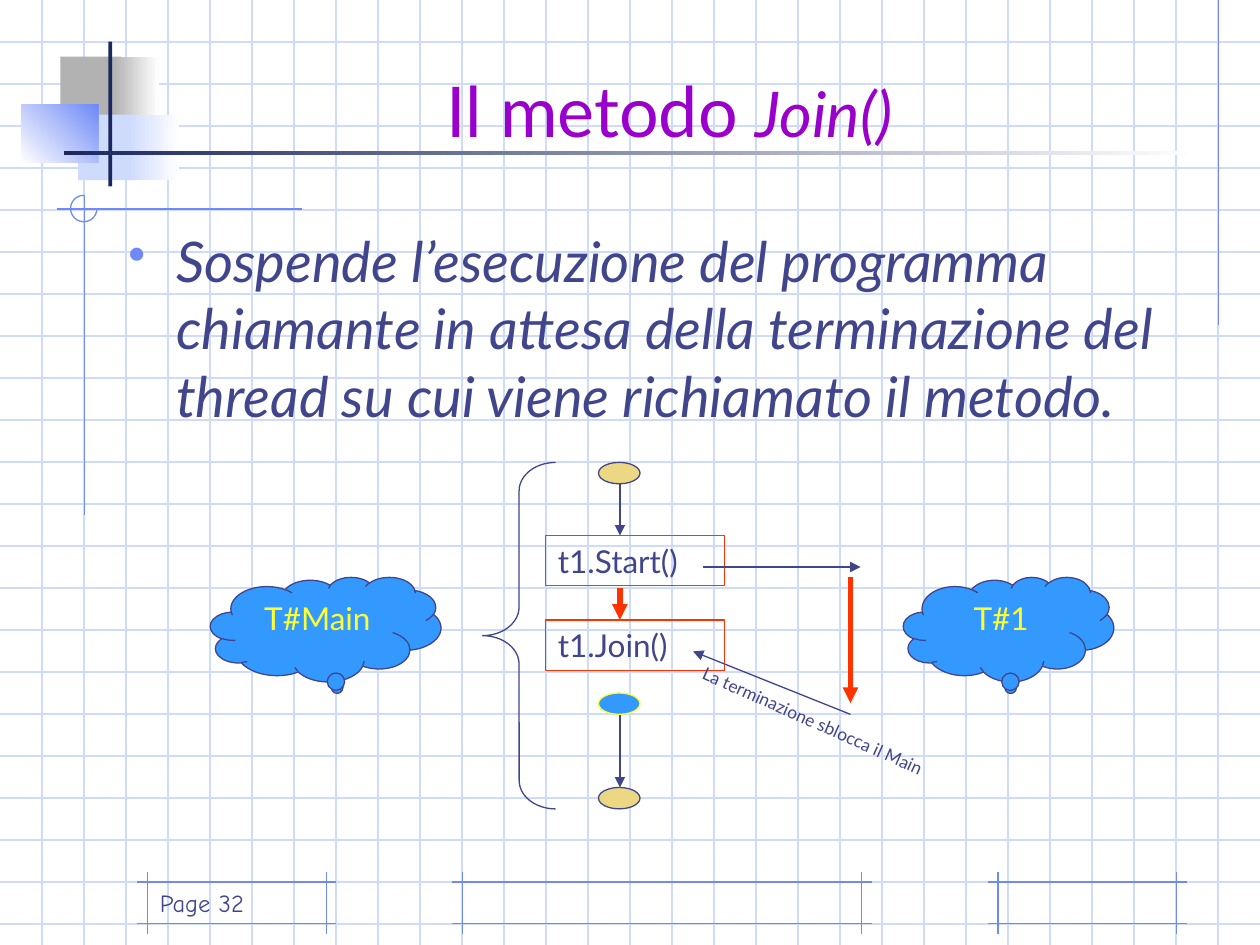
from lxml import etree
from pptx import Presentation
from pptx import util as u
from pptx.dml.color import RGBColor
from pptx.enum import shapes, text
from pptx.oxml import ns

Inches = u.Inches
SHAPE = shapes.MSO_SHAPE
INK, PALE, BLUE, NAVY = "40458C", "CFDBFD", "6F89F7", "1B285F"
RED, SKY, YELLOW, SAND = "FF3300", "3399FF", "FFFF2F", "ECD882"
GRAY, WHITE, PURPLE = "B2B2B2", "FFFFFF", "9900CC"
SLIDE_BOX = (0, 0, 10, 7.5)


def color(value):
    return RGBColor.from_string(value)


def place(shape, box):
    for name, length in zip(("left", "top", "width", "height"), box):
        setattr(shape, name, Inches(length))


def add_line(slide, start, end, stroke, width=0.75, arrow=False):
    line = slide.shapes.add_connector(
        shapes.MSO_CONNECTOR.STRAIGHT, *(Inches(value) for value in (*start, *end)))
    line.line.color.rgb = color(stroke)
    line.line.width = u.Pt(width)
    etree.SubElement(line._element.spPr, ns.qn("a:effectLst"))
    if arrow:
        etree.SubElement(line.line._get_or_add_ln(), ns.qn("a:tailEnd"), type="triangle")
    return line


def add_shape(slide, kind, box, fill=None, stroke=None, adjustments=()):
    """Fill is a hex colour, a (from, to, angle) gradient or None."""
    shape = slide.shapes.add_shape(kind, *(Inches(value) for value in box))
    shape.shadow.inherit = False
    for index, value in enumerate(adjustments):
        shape.adjustments[index] = value
    if fill is None:
        shape.fill.background()
    elif isinstance(fill, str):
        shape.fill.solid()
        shape.fill.fore_color.rgb = color(fill)
    else:
        *stops, angle = fill
        shape.fill.gradient()
        shape.fill.gradient_angle = angle
        for stop, value in zip(shape.fill.gradient_stops, stops):
            stop.color.rgb = color(value)
    if stroke:
        shape.line.color.rgb = color(stroke)
        shape.line.width = u.Pt(0.75)
    else:
        shape.line.fill.background()
    return shape


def add_run(paragraph, words, size, ink=INK, font="Lato", italic=False):
    run = paragraph.add_run()
    run.text = words
    values = {"size": u.Pt(size), "name": font, "italic": italic}
    for name, value in values.items():
        setattr(run.font, name, value)
    run.font.color.rgb = color(ink)


def prepare_text(shape, anchor=text.MSO_ANCHOR.TOP, align=text.PP_ALIGN.LEFT):
    """Set up the frame and return its first paragraph."""
    frame = shape.text_frame
    values = {"word_wrap": True, "auto_size": text.MSO_AUTO_SIZE.NONE,
              "vertical_anchor": anchor}
    for name, value in values.items():
        setattr(frame, name, value)
    frame.paragraphs[0].alignment = align
    return frame.paragraphs[0]


def add_text_box(slide, box, **layout):
    shape = slide.shapes.add_textbox(*(Inches(value) for value in box))
    return shape, prepare_text(shape, **layout)


def draw_grid(slide, box, per_inch=3):
    left, top, width, height = box
    for row in range(1, int(height * per_inch) + 1):
        y = top + row / per_inch
        add_line(slide, (left, y), (left + width, y), PALE)
    for column in range(1, int(width * per_inch)):
        x = left + column / per_inch
        add_line(slide, (x, top), (x, top + height), PALE)


def draw_crossed_frame(slide, box, overhang=0.08):
    left, top, width, height = box
    right, bottom = left + width, top + height
    for y in (top, bottom):
        add_line(slide, (left - overhang, y), (right + overhang, y), BLUE)
    for x in (left, right):
        add_line(slide, (x, top - overhang), (x, bottom + overhang), BLUE)


def draw_margin_lines(slide, box):
    left, top, width, _ = box
    add_line(slide, (left + 9.67, top), (left + 9.67, top + 2.58), BLUE)
    add_line(slide, (left + 0.45, top + 1.66), (left + 2.4, top + 1.66), BLUE)
    add_line(slide, (left + 0.67, top + 1.55), (left + 0.67, top + 4.09), BLUE)
    add_shape(slide, SHAPE.ARC, (left + 0.56, top + 1.55, 0.21, 0.21),
              stroke=BLUE, adjustments=(0, 162))


def draw_title_ornament(slide, box):
    left, top, width, _ = box
    blocks = [
        ((0.31, 0.12, 0.48, 0.52), GRAY),
        ((0.73, 0.12, 0.36, 0.52), (GRAY, WHITE, 0)),
        ((0.45, 0.58, 0.46, 0.52), PALE),
        ((0.85, 0.58, 0.4, 0.52), (PALE, WHITE, 0)),
        ((0, 0.5, 0.61, 0.46), (WHITE, BLUE, 45)),
        ((0.69, 0, 0.03, 1.15), NAVY),
        ((0.34, 0.87, width - 0.34, 0.03), (NAVY, WHITE, 0)),
    ]
    for (x, y, *size), fill in blocks:
        add_shape(slide, SHAPE.RECTANGLE, (left + x, top + y, *size), fill)


def set_title(slide, box):
    title = slide.shapes.title
    slide.shapes._spTree.append(title._element)  # in front of the backdrop
    place(title, box)
    paragraph = prepare_text(title, text.MSO_ANCHOR.BOTTOM, text.PP_ALIGN.CENTER)
    add_run(paragraph, "Il metodo ", 40, PURPLE)
    add_run(paragraph, "Join() ", 36, PURPLE, italic=True)


def add_body(slide, box):
    _, paragraph = add_text_box(slide, box)
    properties = paragraph._p.get_or_add_pPr()
    properties.set("marL", str(Inches(0.38)))
    properties.set("indent", str(Inches(-0.38)))
    bullet_color = etree.SubElement(properties, ns.qn("a:buClr"))
    etree.SubElement(bullet_color, ns.qn("a:srgbClr"), val=BLUE)
    etree.SubElement(properties, ns.qn("a:buSzPct"), val="90000")
    etree.SubElement(properties, ns.qn("a:buChar"), char="•")
    add_run(paragraph, "Sospende l’esecuzione del programma chiamante in attesa della "
            "terminazione del thread su cui viene richiamato il metodo.", 32, italic=True)


def draw_cloud(slide, box, label, pointer):
    cloud = add_shape(slide, SHAPE.CLOUD_CALLOUT, box, SKY, INK, pointer)
    add_run(prepare_text(cloud, align=text.PP_ALIGN.CENTER), label, 18, YELLOW)


def draw_thread_diagram(slide, box):
    left, top, width, height = box

    def at(x, y):
        return left + x, top + y

    for label, y in (("t1.Join()", 1.25), ("t1.Start()", 0.58)):
        call = add_shape(slide, SHAPE.RECTANGLE, (*at(2.66, y), 1.42, 0.4), stroke=RED)
        add_run(prepare_text(call), label, 18)

    arrows = [
        ((3.25, 0.08), (3.25, 0.58), INK, 0.75),
        ((3.91, 0.83), (5.16, 0.83), INK, 0.75),
        ((3.25, 1), (3.25, 1.25), RED, 3),
        ((5.08, 2), (3.83, 1.5), INK, 0.75),
        ((3.25, 2), (3.25, 2.58), INK, 0.75),
        ((5.08, 0.91), (5.08, 1.91), RED, 3),
    ]
    for start, end, stroke, weight in arrows:
        add_line(slide, at(*start), at(*end), stroke, weight, arrow=True)

    for y, fill, stroke in ((0, SAND, INK), (2.58, SAND, INK), (1.83, SKY, YELLOW)):
        add_shape(slide, SHAPE.OVAL, (*at(3.08, y), 0.33, 0.17), fill, stroke)

    add_shape(slide, SHAPE.LEFT_BRACE, (*at(2.16, 0), 0.58, height),
              stroke=INK, adjustments=(0.39, 0.5))
    draw_cloud(slide, (*at(0, 0.91), 1.83, 0.83), "T#Main", (0.05, 0.56))
    draw_cloud(slide, (*at(width - 1.67, 0.91), 1.67, 0.83), "T#1", (0.01, 0.56))

    note, paragraph = add_text_box(slide, (*at(3.7, 2.08), 2.88, 0.27))
    note.rotation = 24.1
    add_run(paragraph, "La terminazione sblocca il Main", 10)


def add_page_number(slide, box):
    _, paragraph = add_text_box(slide, box, anchor=text.MSO_ANCHOR.BOTTOM)
    add_run(paragraph, "Page 32", 14, font="Comic Neue")


def main():
    presentation = Presentation()
    presentation.slide_width, presentation.slide_height = Inches(10), Inches(7.5)
    slide = presentation.slides.add_slide(presentation.slide_layouts[5])
    draw_grid(slide, SLIDE_BOX)
    for left, width in ((3.67, 3.17), (7.92, 1.42), (1.17, 1.42)):
        draw_crossed_frame(slide, (left, 7, width, 0.33))
    draw_margin_lines(slide, SLIDE_BOX)
    draw_title_ornament(slide, (0.17, 0.33, 9.34, 1.15))
    add_page_number(slide, (1.17, 6.83, 2.08, 0.5))
    set_title(slide, (0.75, 0, 9.25, 1.25))
    add_body(slide, (0.92, 1.75, 8.5, 4.5))
    draw_thread_diagram(slide, (1.67, 3.67, 7.17, 2.75))
    presentation.save("out.pptx")


if __name__ == "__main__":
    main()
